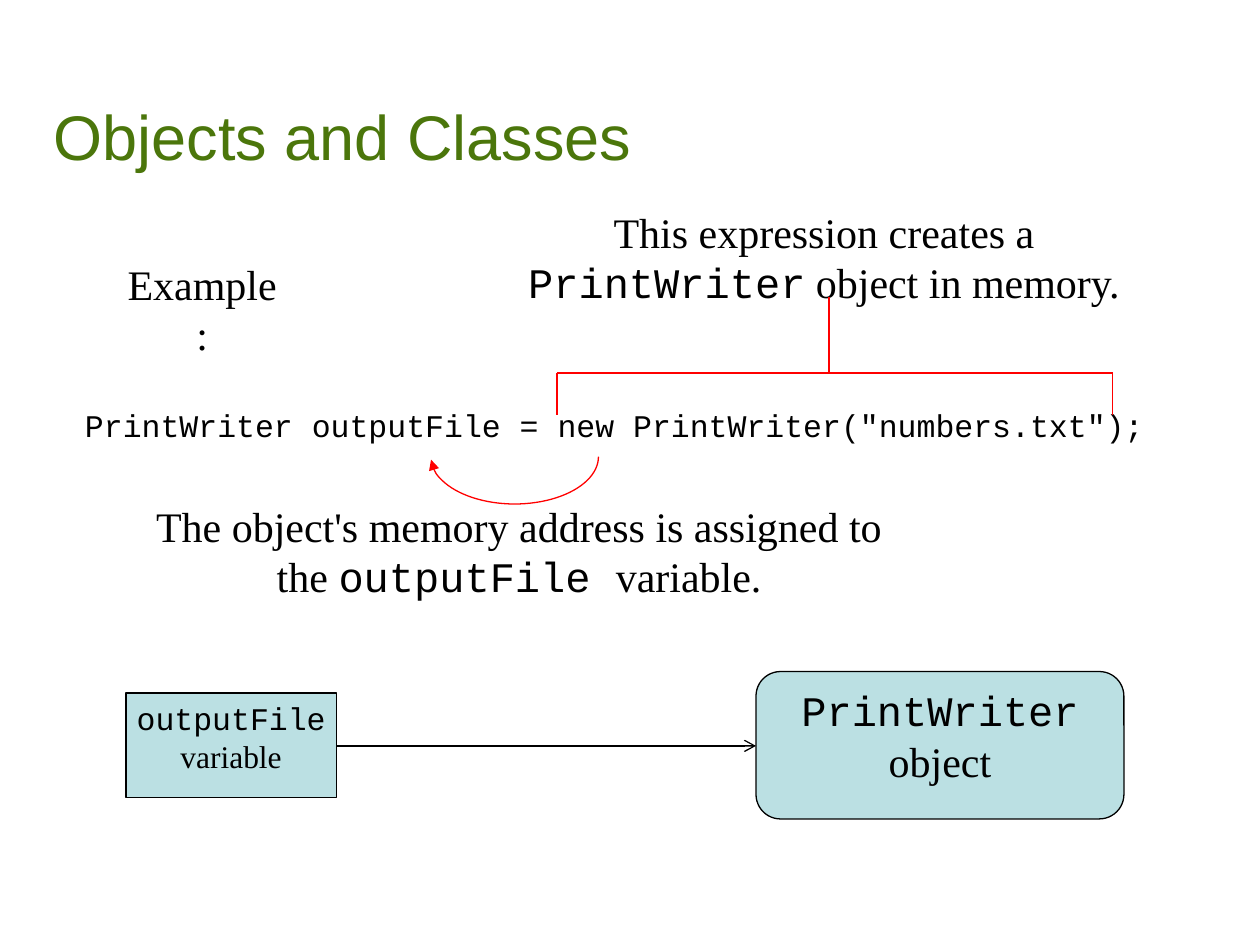
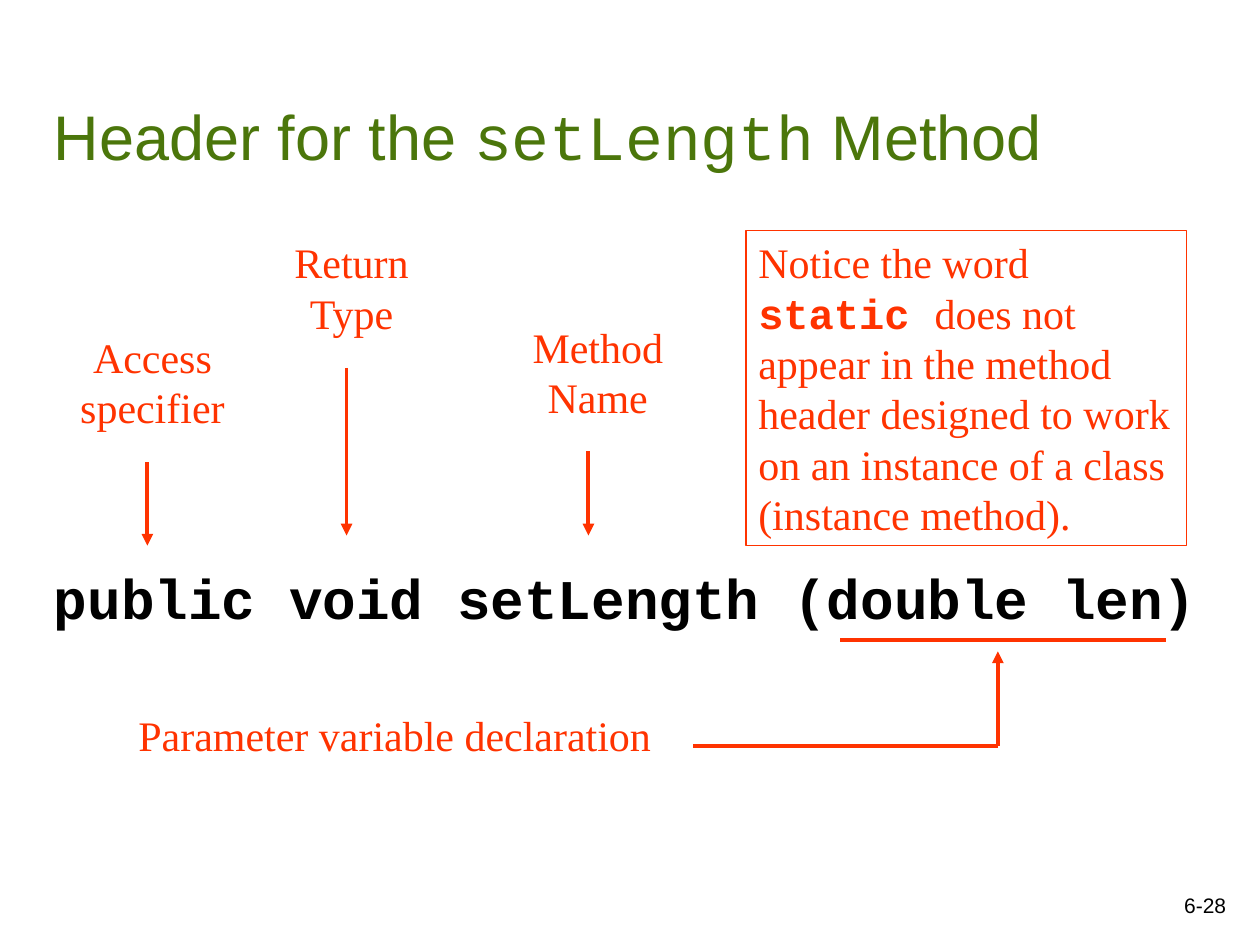
from lxml import etree
from pptx import Presentation
from pptx.dml.color import RGBColor
from pptx.enum import shapes as kinds, text as txt
from pptx.oxml import ns
from pptx.util import Inches, Pt

COLOURS = {
    "title": "4B760B",
    "ink": "000000",
    "box": "BBE0E3",
    "bracket": "FF0000",
    "callout": "FF3300",
}
SANS, SERIF, CODE = "Arial", "Times New Roman", "Courier New"
LEFT, CENTER, RIGHT = txt.PP_ALIGN.LEFT, txt.PP_ALIGN.CENTER, txt.PP_ALIGN.RIGHT
THIN, THICK = 0.74, 2.24


def rgb(name):
    return RGBColor.from_string(COLOURS[name])


def write(frame, paragraphs, size, colour="ink", align=CENTER, before=0,
          wrap=True, grow=False, anchor=txt.MSO_ANCHOR.TOP):
    frame.word_wrap = wrap
    frame.vertical_anchor = anchor
    frame.auto_size = (txt.MSO_AUTO_SIZE.SHAPE_TO_FIT_TEXT if grow
                       else txt.MSO_AUTO_SIZE.NONE)
    for index, pieces in enumerate(paragraphs):
        paragraph = frame.add_paragraph() if index else frame.paragraphs[0]
        paragraph.alignment = align
        if before:
            paragraph.space_before = Pt(before)
        for words, face, *bold in pieces:
            run = paragraph.add_run()
            run.text = words
            run.font.name = face
            run.font.size = Pt(size)
            run.font.bold = bool(bold)
            run.font.color.rgb = rgb(colour)


def add_label(parts, box, pieces, size, **style):
    label = parts.add_textbox(*map(Inches, box))
    write(label.text_frame, [pieces], size, **style)
    return label


def stroke(part, colour, width, tip=None):
    part.line.color.rgb = rgb(colour)
    part.line.width = Pt(width)
    if tip:
        etree.SubElement(part.line._get_or_add_ln(), ns.qn("a:tailEnd"), type=tip)


def add_line(parts, start, end, colour, width, tip=None):
    line = parts.add_connector(kinds.MSO_CONNECTOR.STRAIGHT,
                               *map(Inches, (*start, *end)))
    stroke(line, colour, width, tip)
    etree.SubElement(line._element.spPr, ns.qn("a:effectLst"))


def add_outline(parts, preset, box, colour, fill=None, tip=None):
    outline = parts.add_shape(preset, *map(Inches, box))
    outline.shadow.inherit = False
    if fill:
        outline.fill.solid()
        outline.fill.fore_color.rgb = rgb(fill)
    else:
        outline.fill.background()
    stroke(outline, colour, THIN, tip)
    return outline


def add_title(parts, box, pieces):
    add_label(parts, box, pieces, 36, colour="title", align=LEFT,
              anchor=txt.MSO_ANCHOR.BOTTOM)


def add_reference_diagram(parts, left, top):
    diagram = parts.add_group_shape().shapes
    variable = add_outline(diagram, kinds.MSO_SHAPE.RECTANGLE,
                           (left, top + 0.17, 1.67, 0.83), "ink", "box")
    write(variable.text_frame, [[("outputFile", CODE)], [("variable", SERIF)]],
          18, wrap=False)
    instance = add_outline(diagram, kinds.MSO_SHAPE.ROUNDED_RECTANGLE,
                           (left + 5, top, 2.92, 1.17), "ink", "box")
    write(instance.text_frame, [[("PrintWriter", CODE)], [("object", SERIF)]],
          24, wrap=False)
    middle = top + 0.59
    add_line(diagram, (left + 1.67, middle), (left + 5, middle), "ink", THIN, "arrow")


def add_bracket(parts, left, top, width, drop, stem_x, stem_top):
    bracket = parts.add_group_shape().shapes
    right = left + width
    for start, end in (
        ((left, top + drop), (left, top)),
        ((left, top), (right, top)),
        ((right, top + drop), (right, top)),
        ((stem_x, top), (stem_x, stem_top)),
    ):
        add_line(bracket, start, end, "bracket", THIN)


def add_assignment_arc(parts, box):
    arc = add_outline(parts, kinds.MSO_SHAPE.ARC, box, "bracket", tip="triangle")
    start_angle, end_angle = 0, 178
    for index, angle in enumerate((start_angle, end_angle)):
        arc.adjustments[index] = angle * 0.6


def build_objects_slide(parts):
    add_title(parts, (0.33, 0.33, 9.42, 1.09), [("Objects and Classes", SANS)])
    add_label(parts, (0.5, 3.17, 8.75, 0.4),
              [('PrintWriter outputFile = new PrintWriter("numbers.txt");', CODE)],
              18, grow=True)
    add_reference_diagram(parts, 1, 5.33)
    add_label(parts, (4.08, 1.59, 4.92, 0.9),
              [("This expression creates a ", SERIF), ("PrintWriter", CODE),
               (" object in memory.", SERIF)], 24, grow=True)
    add_bracket(parts, 4.42, 2.96, 4.41, 0.33, 6.58, 2.36)
    add_assignment_arc(parts, (3.42, 3.25, 1.33, 0.75))
    add_label(parts, (1.08, 3.92, 6.08, 0.9),
              [("The object's memory address is assigned to the ", SERIF),
               ("outputFile ", CODE), ("variable.", SERIF)], 24, grow=True)
    add_label(parts, (0.87, 2, 1.47, 0.5), [("Example:", SERIF)], 24,
              wrap=False, grow=True)


def add_pointer(parts, box, words, arrow_x, arrow_top, arrow_bottom):
    add_label(parts, box, [(words, SERIF)], 24, colour="callout", before=15, grow=True)
    add_line(parts, (arrow_x, arrow_top), (arrow_x, arrow_bottom),
             "callout", THICK, "triangle")


def add_parameter_note(parts, left, top):
    add_label(parts, (left, top, 4.42, 0.5),
              [("Parameter variable declaration", SERIF)], 24,
              colour="callout", align=LEFT, before=15, grow=True)
    elbow = (left + 6.92, top + 0.34)
    underline = top - 0.5
    add_line(parts, elbow, (elbow[0], underline + 0.09), "callout", THICK, "triangle")
    add_line(parts, (left + 5.67, underline), (left + 8.25, underline), "callout", THICK)
    add_line(parts, (left + 4.5, elbow[1]), elbow, "callout", THICK)


def add_static_note(parts, box):
    note = add_outline(parts, kinds.MSO_SHAPE.RECTANGLE, box, "callout")
    write(note.text_frame,
          [[("Notice the word ", SERIF), ("static ", CODE, "bold"),
            ("does not appear in the method header designed to work on an "
             "instance of a class (instance method).", SERIF)]],
          24, colour="callout", align=LEFT, before=15, grow=True)


def build_header_slide(parts):
    add_label(parts, (7.75, 6.83, 2.08, 0.5), [("6-28", SANS)], 12,
              align=RIGHT, anchor=txt.MSO_ANCHOR.BOTTOM)
    add_title(parts, (0.33, 0.17, 8.5, 1.25),
              [("Header for the ", SANS), ("setLength", CODE), (" Method", SANS)])
    signature = add_label(parts, (0.33, 4.42, 9.33, 0.83),
                          [("public void setLength (double len)", CODE, "bold")],
                          32, align=LEFT, before=8)
    signature.text_frame.margin_right = 0
    for pointer in (
        ((0.17, 2.58, 2.08, 0.9), "Access specifier", 1.17, 3.67, 4.33),
        ((2, 1.83, 1.58, 0.9), "Return Type", 2.75, 2.92, 4.25),
        ((4.08, 2.5, 1.33, 0.9), "Method Name", 4.67, 3.58, 4.25),
    ):
        add_pointer(parts, *pointer)
    add_parameter_note(parts, 1, 5.58)
    add_static_note(parts, (5.92, 1.83, 3.5, 2.5))


deck = Presentation()
deck.slide_width, deck.slide_height = Inches(10), Inches(7.5)
blank = deck.slide_layouts[6]
for build in (build_objects_slide, build_header_slide):
    build(deck.slides.add_slide(blank).shapes)
deck.save("out.pptx")
